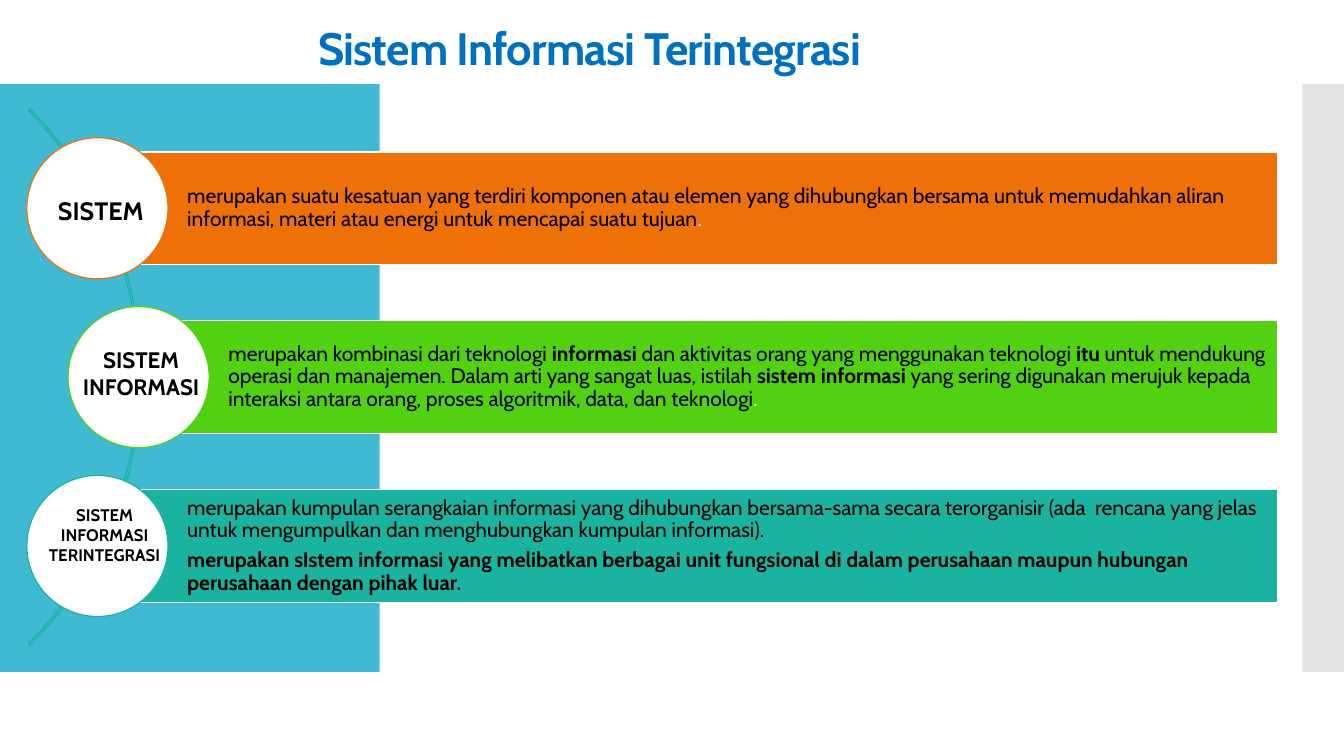
from lxml.etree import SubElement
from pptx import Presentation
from pptx.dml.color import RGBColor
from pptx.enum.shapes import MSO_SHAPE as Shape
from pptx.enum.text import MSO_ANCHOR as Anchor, PP_ALIGN as Align
from pptx.oxml.ns import qn
from pptx.util import Inches, Pt

PLAIN = {}
BOLD = {"bold": True}
WHITE = {"color": "FFFFFF"}


def color(code):
    """Turn a hex string into a colour."""
    return RGBColor.from_string(code)


class SlideBuilder:
    """Draw styled elements on a slide divided into 160 columns and 90 rows."""

    cell = Inches(1 / 12)
    font = "Cabin"
    line_width = Pt(0.85)

    def __init__(self, deck):
        """Add a blank slide to the deck."""
        self.page = deck.slides.add_slide(deck.slide_layouts[6])

    def place(self, *area):
        """Convert grid units to lengths."""
        return [round(value * self.cell) for value in area]

    def shape(self, kind, area, fill=None, line=None, alpha=None):
        """Add a preset shape, filled and outlined as asked."""
        item = self.page.shapes.add_shape(kind, *self.place(*area))
        item.shadow.inherit = False
        if fill:
            item.fill.solid()
            item.fill.fore_color.rgb = color(fill)
        else:
            item.fill.background()
        if line:
            item.line.color.rgb = color(line)
            item.line.width = self.line_width
        else:
            item.line.fill.background()
        if alpha:
            tint = item._element.spPr.find(qn("a:solidFill"))[0]
            SubElement(tint, qn("a:alpha"), val=str(alpha * 1000))
        return item

    def arc(self, area, line, start, end, thickness):
        """Add a thin block arc between two angles in degrees."""
        item = self.shape(Shape.BLOCK_ARC, area, line=line)
        for index, value in enumerate((start * 0.6, end * 0.6, thickness)):
            item.adjustments[index] = value

    def fill_text(self, frame, paragraphs, size, layout, tint="000000", tracking=None):
        """Fill a text frame with paragraphs of (text, format) runs."""
        frame.word_wrap = True
        for index, runs in enumerate(paragraphs):
            para = frame.paragraphs[0] if index == 0 else frame.add_paragraph()
            for name, value in layout.items():
                setattr(para, name, value)
            for text, style in runs:
                span = para.add_run()
                span.text = text
                look = {"name": self.font, "size": Pt(size), "bold": False, **style}
                span.font.color.rgb = color(look.pop("color", tint))
                for name, value in look.items():
                    setattr(span.font, name, value)
                if tracking:
                    span.font._element.set("spc", str(tracking))

    def text(self, area, paragraphs, size, layout, anchor=Anchor.TOP, **style):
        """Add a text box."""
        box = self.page.shapes.add_textbox(*self.place(*area))
        box.text_frame.vertical_anchor = anchor
        self.fill_text(box.text_frame, paragraphs, size, layout, **style)

    def bar(self, area, fill, paragraphs):
        """Add a coloured bar holding a description."""
        frame = self.shape(Shape.RECTANGLE, area, fill, "FFFFFF").text_frame
        margins = {"margin_left": 0.89, "margin_top": 0.04,
                   "margin_right": 0.04, "margin_bottom": 0.04}
        for name, value in margins.items():
            setattr(frame, name, Inches(value))
        frame.vertical_anchor = Anchor.MIDDLE
        layout = {"alignment": Align.LEFT, "line_spacing": 0.9, "space_after": Pt(5.25)}
        self.fill_text(frame, paragraphs, 15, layout)


ROWS = [
    {
        "left": 11.6, "fill": "EE7008",
        "label": ["SISTEM"], "label_area": (5.3, 22.7, 13.4, 4.8), "label_size": 18,
        "description": [[
            ("merupakan suatu kesatuan yang terdiri komponen atau elemen yang "
             "dihubungkan bersama untuk memudahkan aliran informasi, materi atau "
             "energi untuk mencapai suatu tujuan", PLAIN),
            (".", WHITE),
        ]],
    },
    {
        "left": 16.5, "fill": "52D012",
        "label": ["SISTEM", "INFORMASI"], "label_area": (7.8, 40.6, 18, 7.7),
        "label_size": 16,
        "description": [[
            ("merupakan kombinasi dari teknologi ", PLAIN),
            ("informasi ", BOLD),
            ("dan aktivitas orang yang menggunakan teknologi ", PLAIN),
            ("itu ", BOLD),
            ("untuk mendukung operasi dan manajemen. Dalam arti yang sangat luas, "
             "istilah ", PLAIN),
            ("sistem informasi", BOLD),
            (" yang sering digunakan merujuk kepada interaksi antara orang, proses "
             "algoritmik, data, dan teknologi", PLAIN),
            (".", WHITE),
        ]],
    },
    {
        "left": 11.6, "fill": "1AB39F",
        "label": ["SISTEM", "INFORMASI", "TERINTEGRASI"],
        "label_area": (2.9, 59.5, 19.1, 8.5), "label_size": 12,
        "description": [
            [("merupakan kumpulan serangkaian informasi yang dihubungkan bersama-sama "
              "secara terorganisir (ada  rencana yang jelas untuk mengumpulkan dan "
              "menghubungkan kumpulan informasi).", PLAIN)],
            [("merupakan sIstem informasi yang melibatkan berbagai unit fungsional di "
              "dalam perusahaan maupun hubungan perusahaan dengan pihak luar.", BOLD)],
        ],
    },
]
BAR_TOP, BAR_STEP, BAR_HEIGHT, BAR_RIGHT = 18.1, 20.1, 13.4, 152.1
DIAMETER = 16.8


def main():
    """Build and save the slide."""
    deck = Presentation()
    deck.slide_width, deck.slide_height = Inches(13.33), Inches(7.5)
    slide = SlideBuilder(deck)

    slide.shape(Shape.RECTANGLE, (0, 10, 45.2, 70), "40BAD2")
    slide.shape(Shape.RECTANGLE, (155, 10, 5, 70), "C8C8C8", alpha=50)
    slide.text((36.7, 3, 87.2, 6.2), [[("Sistem Informasi Terintegrasi", BOLD)]], 32.4,
               {"line_spacing": 0.9}, Anchor.MIDDLE, tint="0070C0", tracking=-60)
    slide.arc((-73.4, -0.2, 90.2, 90.2), "1AB39F", 315, 45, 0.003)

    for index, row in enumerate(ROWS):
        left, top = row["left"], BAR_TOP + index * BAR_STEP
        slide.bar((left, top, BAR_RIGHT - left, BAR_HEIGHT), row["fill"],
                  row["description"])
        slide.shape(Shape.OVAL, (left - DIAMETER / 2, top + (BAR_HEIGHT - DIAMETER) / 2,
                                 DIAMETER, DIAMETER), "FFFFFF", row["fill"])
        slide.text(row["label_area"], [[(line, BOLD)] for line in row["label"]],
                   row["label_size"], {"alignment": Align.CENTER})

    deck.save("out.pptx")


if __name__ == "__main__":
    main()
